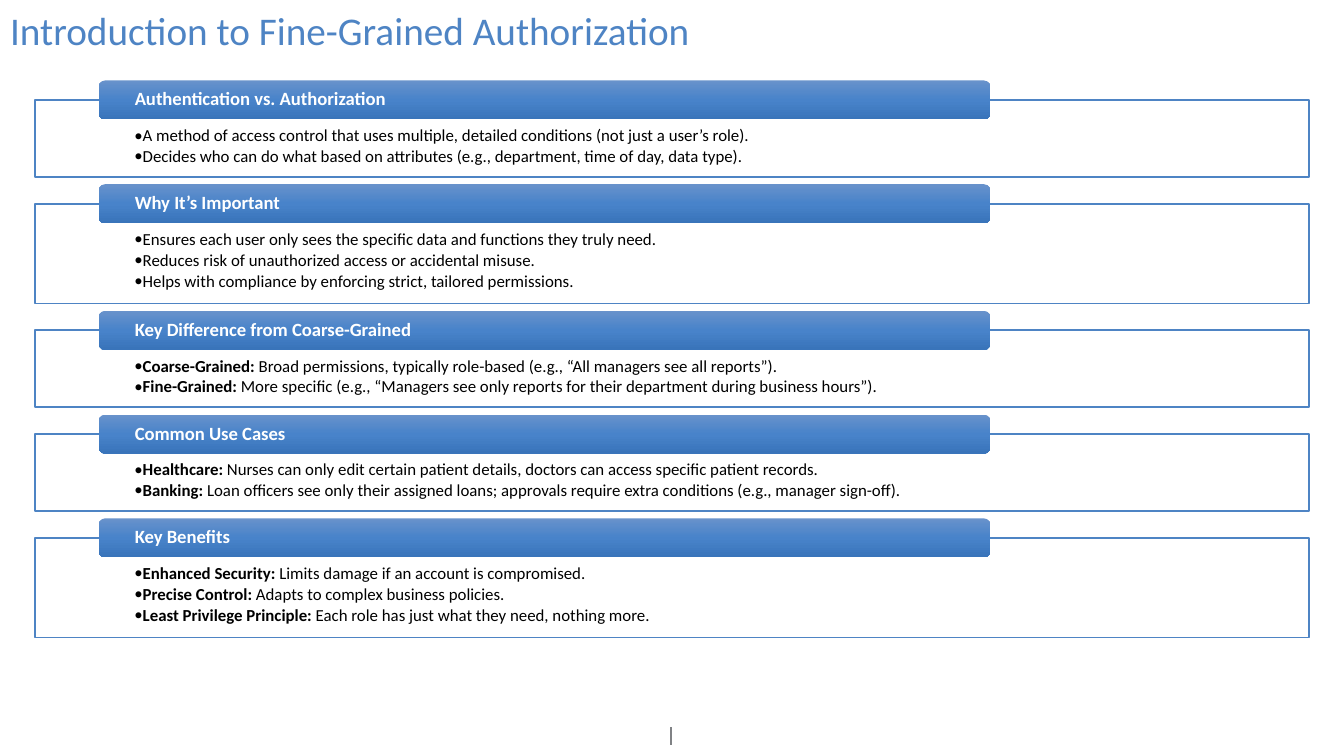
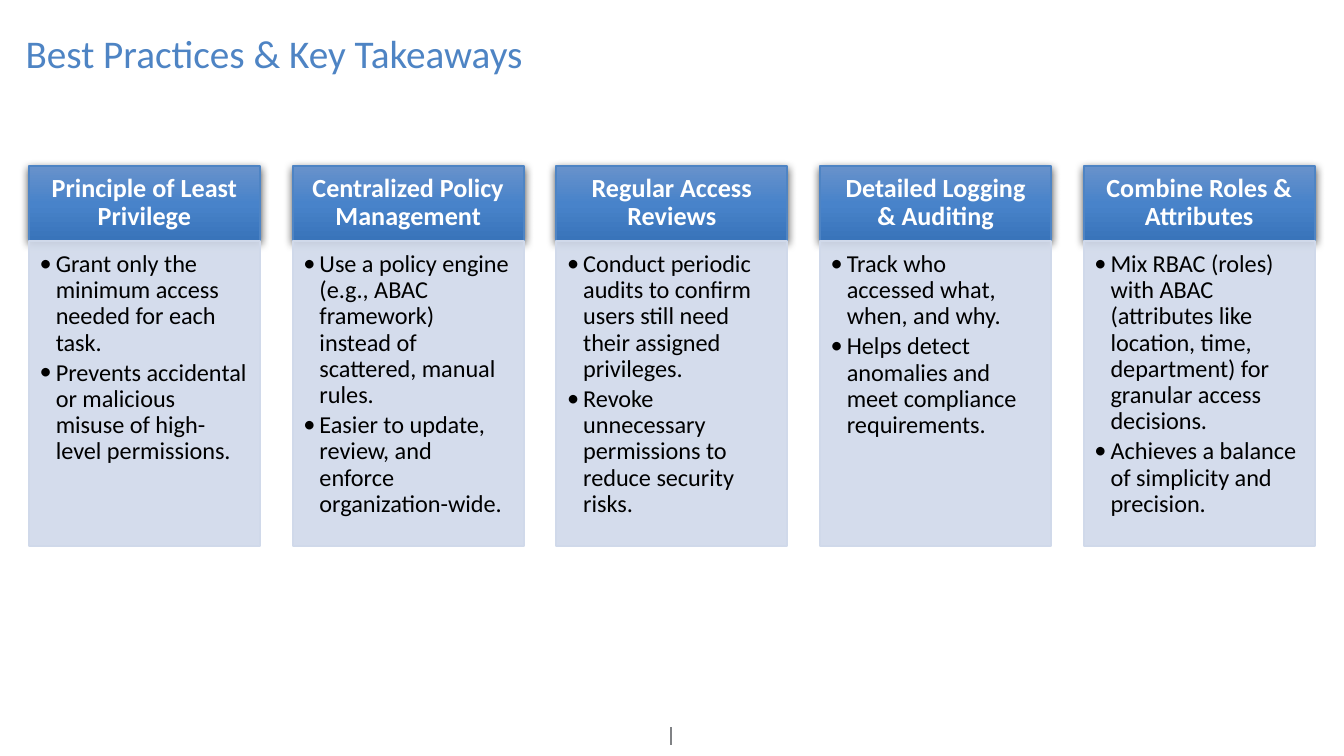
from copy import deepcopy

from lxml import etree
from pptx import Presentation
from pptx.dml.color import RGBColor
from pptx.enum.shapes import MSO_CONNECTOR, MSO_SHAPE
from pptx.enum.text import MSO_ANCHOR, MSO_AUTO_SIZE, PP_ALIGN
from pptx.oxml.ns import qn
from pptx.util import Inches, Pt

RECT = MSO_SHAPE.RECTANGLE
ROUND = MSO_SHAPE.ROUNDED_RECTANGLE
LINE = MSO_CONNECTOR.STRAIGHT
TOP = MSO_ANCHOR.TOP
MIDDLE = MSO_ANCHOR.MIDDLE
LEFT = PP_ALIGN.LEFT
CENTER = PP_ALIGN.CENTER
NO_FIT = MSO_AUTO_SIZE.NONE

WIDE = Inches(10)
HIGH = WIDE * 9 // 16
UNIT = WIDE / 100

FONT = "Calibri"
BLUE = "4E84C4"
PALE = "D0D9EA"
GRAY = "808285"
WHITE = "FFFFFF"
BLACK = "000000"
BLEND = ((0, "6892CB"), (0.5, "4883CA"), (1, "3974BA"))

PANELS = (
    ("Authentication vs. Authorization", (
        "A method of access control that uses multiple, detailed conditions (not just a user’s role).",
        "Decides who can do what based on attributes (e.g., department, time of day, data type).")),
    ("Why It’s Important", (
        "Ensures each user only sees the specific data and functions they truly need.",
        "Reduces risk of unauthorized access or accidental misuse.",
        "Helps with compliance by enforcing strict, tailored permissions.")),
    ("Key Difference from Coarse-Grained", (
        "Coarse-Grained: |Broad permissions, typically role-based (e.g., “All managers see all reports”).",
        "Fine-Grained: |More specific (e.g., “Managers see only reports for their department during business hours”).")),
    ("Common Use Cases", (
        "Healthcare: |Nurses can only edit certain patient details, doctors can access specific patient records.",
        "Banking: |Loan officers see only their assigned loans; approvals require extra conditions (e.g., manager sign-off).")),
    ("Key Benefits", (
        "Enhanced Security: |Limits damage if an account is compromised.",
        "Precise Control: |Adapts to complex business policies.",
        "Least Privilege Principle: |Each role has just what they need, nothing more.")),
)

CARDS = (
    ("Principle of Least Privilege", (
        "Grant only the minimum access needed for each task.",
        "Prevents accidental or malicious misuse of high-level permissions.")),
    ("Centralized Policy Management", (
        "Use a policy engine (e.g., ABAC framework) instead of scattered, manual rules.",
        "Easier to update, review, and enforce organization-wide.")),
    ("Regular Access Reviews", (
        "Conduct periodic audits to confirm users still need their assigned privileges.",
        "Revoke unnecessary permissions to reduce security risks.")),
    ("Detailed Logging & Auditing", (
        "Track who accessed what, when, and why.",
        "Helps detect anomalies and meet compliance requirements.")),
    ("Combine Roles & Attributes", (
        "Mix RBAC (roles) with ABAC (attributes like location, time, department) for granular access decisions.",
        "Achieves a balance of simplicity and precision.")),
)


def color(code):
    return RGBColor.from_string(code)


def cells(*spans):
    return [round(span * UNIT) for span in spans]


def sub(parent, tag, **attrs):
    node = etree.SubElement(parent, qn(tag))
    for key, value in attrs.items():
        node.set(key, str(value))
    return node


def fade(shape, share):
    for code in shape._element.spPr.iter(qn("a:srgbClr")):
        sub(code, "a:alpha", val=share * 1000)


def block(slide, kind, box, fill=None, edge=None):
    shape = slide.shapes.add_shape(kind, *cells(*box))
    shape.shadow.inherit = False
    if fill:
        shape.fill.solid()
        shape.fill.fore_color.rgb = color(fill)
        fade(shape, 90)
    else:
        blend(shape)
    if edge:
        shape.line.color.rgb = color(edge)
        shape.line.width = Pt(1)
    else:
        shape.line.fill.background()
    return shape


def blend(shape):
    shape.fill.gradient()
    shape.fill.gradient_angle = 270
    stops = shape._element.spPr.find(qn("a:gradFill")).find(qn("a:gsLst"))
    stops.append(deepcopy(stops[0]))
    for stop, (place, code) in zip(shape.fill.gradient_stops, BLEND):
        stop.position = place
        stop.color.rgb = color(code)


def shade(shape):
    effect = shape._element.spPr.find(qn("a:effectLst"))
    glow = sub(effect, "a:outerShdw", blurRad=Pt(4.5), dist=Pt(1.5),
               dir=90 * 60000, rotWithShape=0)
    sub(sub(glow, "a:srgbClr", val=BLACK), "a:alpha", val=63000)


def frame(shape, pads, anchor):
    text = shape.text_frame
    text.word_wrap = True
    text.auto_size = NO_FIT
    text.vertical_anchor = anchor
    (text.margin_left, text.margin_top,
     text.margin_right, text.margin_bottom) = cells(*pads)
    return text


def style(line, size, code, align=LEFT):
    line.alignment = align
    line.line_spacing = 0.9
    for run in line.runs:
        run.font.name = FONT
        run.font.size = Pt(size)
        run.font.color.rgb = color(code)


def label(shape, words, pads, anchor, size, code, align=LEFT, bold=False):
    text = frame(shape, pads, anchor)
    text.text = words
    line = text.paragraphs[0]
    style(line, size, code, align)
    line.runs[0].font.bold = bold


def points(shape, items, pads, size, indent):
    text = frame(shape, pads, TOP)
    for num, item in enumerate(items):
        line = text.add_paragraph() if num else text.paragraphs[0]
        line.level = 1
        props = line._p.get_or_add_pPr()
        gap, = cells(indent)
        props.set("marL", str(gap))
        props.set("indent", str(-gap))
        sub(props, "a:buFont", typeface=FONT)
        sub(props, "a:buChar", char="•")
        lead, _, rest = item.rpartition("|")
        for words, bold in ((lead, True), (rest, False)):
            if words:
                run = line.add_run()
                run.text = words
                run.font.bold = bold
        line.space_after = Pt(size * 0.15)
        style(line, size, BLACK)


def page(deck, words, box, pads, anchor):
    slide = deck.slides.add_slide(deck.slide_layouts[5])
    title = slide.shapes.title
    title.left, title.top, title.width, title.height = cells(*box)
    label(title, words, pads, anchor, 21, BLUE)
    mark = slide.shapes.add_connector(LINE, *cells(49.9, 54.1, 49.9, 55.4))
    mark.line.color.rgb = color(GRAY)
    mark.line.width = Pt(1)
    sub(mark._element.spPr, "a:effectLst")
    return slide


def panel(slide, box, head, items):
    left, top, wide, high = box
    body = block(slide, RECT, box, WHITE, BLUE)
    points(body, items, (7.4, 2.03, 7.4, 0.7), 9, 0.6)
    bar = block(slide, ROUND, (left + wide * 0.05, top - 1.45, wide * 0.7, 2.9))
    label(bar, head, (2.55, 0, 2.55, 0), MIDDLE, 10, WHITE, bold=True)


def card(slide, box, head, items):
    left, top, wide, high = box
    cap = 5.55
    bar = block(slide, RECT, (left, top, wide, cap), edge=BLUE)
    shade(bar)
    label(bar, head, (1.1, 0.6, 1.1, 0.6), MIDDLE, 14, WHITE, CENTER, True)
    body = block(slide, RECT, (left, top + cap, wide, high - cap), PALE, PALE)
    points(body, items, (0.8, 0.8, 1, 1.1), 13, 1.2)


def intro(deck):
    slide = page(deck, "Introduction to Fine-Grained Authorization",
                 (0, 0, 53.2, 4.9), (0.75, 0.4, 0.7, 0.4), MIDDLE)
    top = 7.44
    for head, items in PANELS:
        high = 2.32 + 1.7 * len(items)
        panel(slide, (2.6, top, 94.8, high), head, items)
        top += high + 2


def advice(deck):
    slide = page(deck, "Best Practices & Key Takeaways",
                 (0.9, 2.1, 86.2, 6), (1, 0.5, 1, 0.5), TOP)
    for num, (head, items) in enumerate(CARDS):
        card(slide, (2.15 + 19.62 * num, 12.36, 17.2, 28.27), head, items)


def main():
    deck = Presentation()
    deck.slide_width = WIDE
    deck.slide_height = HIGH
    intro(deck)
    advice(deck)
    deck.save("out.pptx")


if __name__ == "__main__":
    main()
